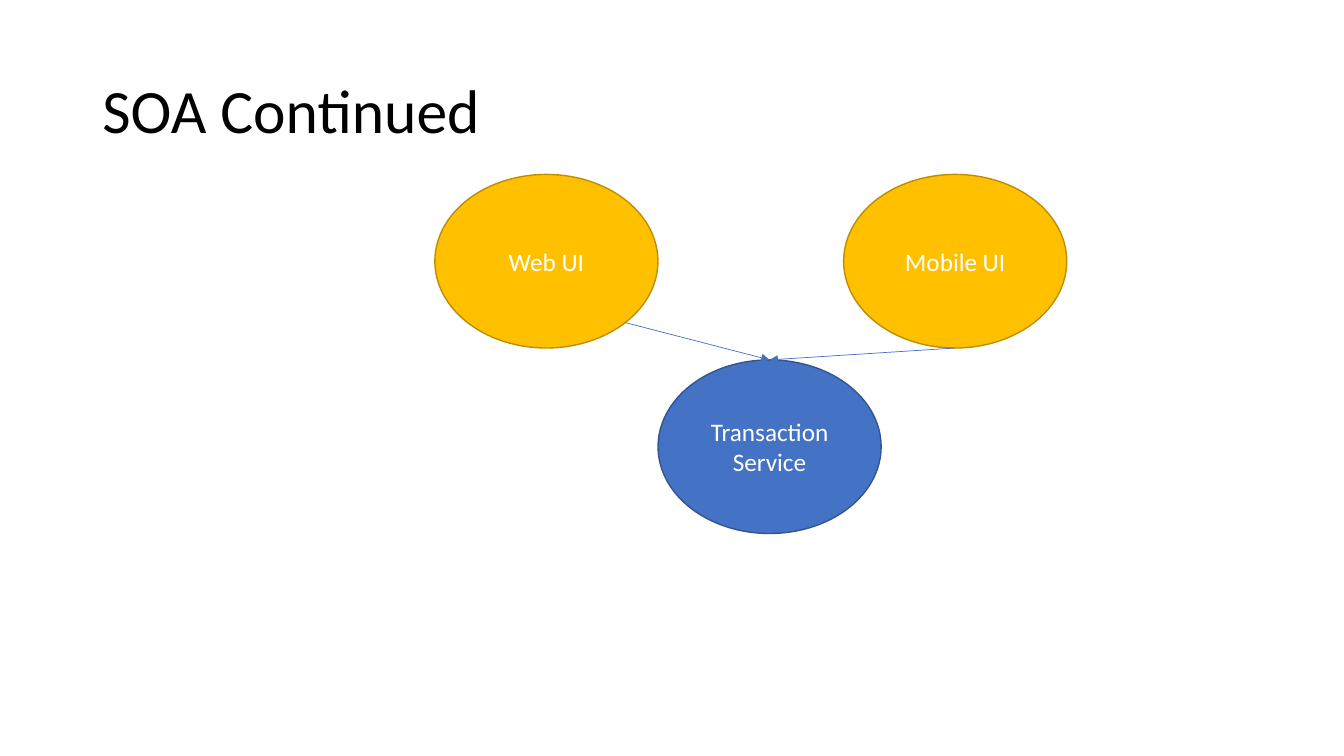
from dataclasses import dataclass
from math import cos, radians, sin

from lxml.etree import SubElement
from pptx import Presentation
from pptx.dml.color import RGBColor
from pptx.enum.shapes import MSO_CONNECTOR, MSO_SHAPE
from pptx.enum.text import MSO_ANCHOR, MSO_AUTO_SIZE, PP_ALIGN
from pptx.oxml.ns import qn
from pptx.slide import Slide
from pptx.text.text import _Paragraph as Paragraph
from pptx.util import Pt

BLACK = RGBColor(0x00, 0x00, 0x00)
WHITE = RGBColor(0xFF, 0xFF, 0xFF)
BLUE = RGBColor(0x44, 0x72, 0xC4)
DARK_BLUE = RGBColor(0x32, 0x54, 0x91)
GOLD = RGBColor(0xFF, 0xC0, 0x00)
DARK_GOLD = RGBColor(0xBD, 0x8E, 0x00)
FONT = "Calibri"

NODE_WIDTH, NODE_HEIGHT = 159.4, 124
UI_TOP = 124.6


@dataclass(frozen=True)
class Node:
    label: str
    left: float
    top: float
    fill: RGBColor
    outline: RGBColor

    def edge_point(self, degrees: float) -> tuple[float, float]:
        """Return the ellipse site at an angle, clockwise from the right."""
        angle = radians(degrees)
        return (
            self.left + NODE_WIDTH / 2 * (1 + cos(angle)),
            self.top + NODE_HEIGHT / 2 * (1 + sin(angle)),
        )


@dataclass(frozen=True)
class Call:
    caller: Node
    exit_degrees: float
    service: Node


TRANSACTION = Node("Transaction Service", 470, 257.1, BLUE, DARK_BLUE)
WEB = Node("Web UI", 310.6, UI_TOP, GOLD, DARK_GOLD)
MOBILE = Node("Mobile UI", 602.6, UI_TOP, GOLD, DARK_GOLD)
NODES = (TRANSACTION, WEB, MOBILE)
CALLS = (Call(WEB, 45, TRANSACTION), Call(MOBILE, 90, TRANSACTION))


def add_text(para: Paragraph, text: str, size: float, color: RGBColor) -> None:
    span = para.add_run()
    span.text = text
    span.font.name = FONT
    span.font.size = Pt(size)
    span.font.color.rgb = color


def set_title(page: Slide, text: str) -> None:
    title = page.shapes.title
    title.left, title.top = Pt(66), Pt(28.75)
    title.width, title.height = Pt(828), Pt(104.4)
    frame = title.text_frame
    frame.auto_size = MSO_AUTO_SIZE.NONE
    frame.vertical_anchor = MSO_ANCHOR.MIDDLE
    para = frame.paragraphs[0]
    para.alignment = PP_ALIGN.LEFT
    para.line_spacing = 0.9
    add_text(para, text, 44, BLACK)


def add_node(page: Slide, node: Node) -> None:
    ellipse = page.shapes.add_shape(
        MSO_SHAPE.OVAL, Pt(node.left), Pt(node.top), Pt(NODE_WIDTH), Pt(NODE_HEIGHT)
    )
    ellipse.shadow.inherit = False
    ellipse.fill.solid()
    ellipse.fill.fore_color.rgb = node.fill
    ellipse.line.color.rgb = node.outline
    ellipse.line.width = Pt(1)
    frame = ellipse.text_frame
    frame.word_wrap = True
    frame.vertical_anchor = MSO_ANCHOR.MIDDLE
    para = frame.paragraphs[0]
    para.alignment = PP_ALIGN.CENTER
    add_text(para, node.label, 18, WHITE)


def add_call(page: Slide, call: Call) -> None:
    """Draw an arrow from the caller to the top of the service."""
    start = call.caller.edge_point(call.exit_degrees)
    end = call.service.edge_point(270)
    arrow = page.shapes.add_connector(
        MSO_CONNECTOR.STRAIGHT, *(Pt(value) for value in start + end)
    )
    arrow.line.color.rgb = BLUE
    arrow.line.width = Pt(0.5)
    properties = arrow.element.spPr
    SubElement(properties.find(qn("a:ln")), qn("a:tailEnd"), type="triangle")
    SubElement(properties, qn("a:effectLst"))


def main() -> None:
    deck = Presentation()
    deck.slide_width, deck.slide_height = Pt(960), Pt(540)
    page = deck.slides.add_slide(deck.slide_layouts.get_by_name("Title Only"))
    set_title(page, "SOA Continued")
    for node in NODES:
        add_node(page, node)
    for call in CALLS:
        add_call(page, call)
    deck.save("out.pptx")


if __name__ == "__main__":
    main()
